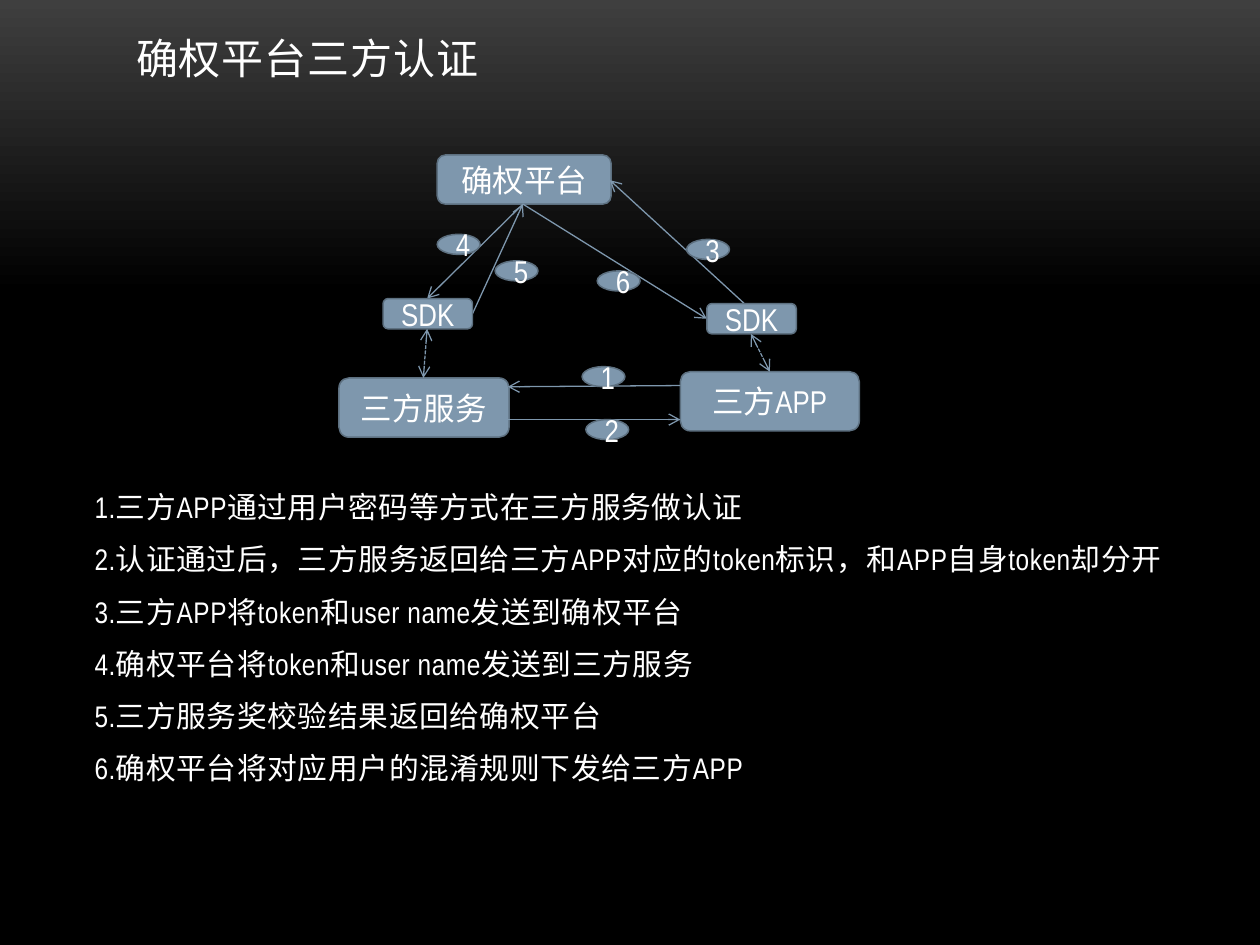
from dataclasses import dataclass

from lxml.etree import SubElement
from pptx import Presentation
from pptx.dml.color import RGBColor
from pptx.enum.dml import MSO_LINE
from pptx.enum.shapes import MSO_CONNECTOR, MSO_SHAPE
from pptx.enum.text import MSO_ANCHOR, MSO_AUTO_SIZE, PP_ALIGN
from pptx.oxml.ns import qn
from pptx.util import Inches, Pt

COLORS = {
    "gradient_top": "3F3F3F",
    "black": "000000",
    "node": "7E97AD",
    "outline": "5D7080",
    "text": "FFFFFF",
}
FONT = "Arial Narrow"
WIDTH, HEIGHT = Inches(10), Inches(7.5)
COLUMN, ROW = WIDTH / 100, HEIGHT / 75
BADGE_SIZE = (3.4, 1.6)

TITLE = "确权平台三方认证"
STEPS = [
    "1.三方APP通过用户密码等方式在三方服务做认证",
    "2.认证通过后，三方服务返回给三方APP对应的token标识，和APP自身token却分开",
    "3.三方APP将token和user name发送到确权平台",
    "4.确权平台将token和user name发送到三方服务",
    "5.三方服务奖校验结果返回给确权平台",
    "6.确权平台将对应用户的混淆规则下发给三方APP",
]


@dataclass(frozen=True)
class Node:
    text: str
    column: float
    row: float
    columns: float
    rows: float
    kind: MSO_SHAPE = MSO_SHAPE.ROUNDED_RECTANGLE


@dataclass(frozen=True)
class Arrow:
    start: tuple[float, float]
    end: tuple[float, float]
    two_way: bool = False


PARTIES = [
    Node("确权平台", 34.7, 12.3, 13.8, 3.9),
    Node("三方服务", 26.9, 30, 13.5, 4.7),
    Node("三方APP", 54, 29.5, 14.2, 4.7),
]
SDKS = [Node("SDK", column, row, 7.1, 2.4) for column, row in [(30.4, 23.7), (56.1, 24.1)]]
BADGES = [
    Node(str(number), column, row, *BADGE_SIZE, MSO_SHAPE.OVAL)
    for number, (column, row) in enumerate(
        [(46.2, 29.1), (46.5, 33.3), (54.5, 19), (34.7, 18.6), (39.3, 20.7), (47.4, 21.5)], 1
    )
]
PLATFORM_BOTTOM = (41.5, 16.2)
MESSAGES = [
    Arrow((54, 30.6), (40.3, 30.7)),
    Arrow((40.3, 33.3), (54, 33.3)),
    Arrow((59.3, 24.3), (48.4, 14.3)),
    Arrow(PLATFORM_BOTTOM, (33.9, 23.7)),
    Arrow((37.5, 24.9), PLATFORM_BOTTOM),
    Arrow(PLATFORM_BOTTOM, (56.1, 25.3)),
]
SDK_LINKS = [
    Arrow((59.6, 26.5), (61.1, 29.5), two_way=True),
    Arrow((33.9, 26.1), (33.6, 30), two_way=True),
]


def color(name: str) -> RGBColor:
    return RGBColor.from_string(COLORS[name])


def cells(*lengths: float) -> list[int]:
    """Turn alternating column and row counts into lengths."""
    return [round(length * (ROW if index % 2 else COLUMN)) for index, length in enumerate(lengths)]


def apply(target, formats: dict) -> None:
    for name, value in formats.items():
        setattr(target, name, value)


def write(paragraph, text: str, size: float, spacing: int = 0):
    run = paragraph.add_run()
    run.text = text
    apply(run.font, {"name": FONT, "size": Pt(size)})
    run.font.color.rgb = color("text")
    if spacing:
        run._r.get_or_add_rPr().set("spc", str(spacing))


def paint_background(slide) -> None:
    fill = slide.background.fill
    fill.gradient()
    fill.gradient_angle = 270
    for stop, (position, name) in zip(fill.gradient_stops, [(0, "gradient_top"), (0.31, "black")]):
        stop.position = position
        stop.color.rgb = color(name)


def place(placeholder, box: tuple, anchor: MSO_ANCHOR):
    apply(placeholder, dict(zip(("left", "top", "width", "height"), cells(*box))))
    frame = placeholder.text_frame
    apply(frame, {"vertical_anchor": anchor, "word_wrap": True, "auto_size": MSO_AUTO_SIZE.NONE})
    return frame


def fill_title(slide) -> None:
    frame = place(slide.shapes.title, (9.8, 0.2, 86.7, 6.9), MSO_ANCHOR.BOTTOM)
    frame.paragraphs[0].alignment = PP_ALIGN.LEFT
    write(frame.paragraphs[0], TITLE, 24, 50)


def fill_steps(slide) -> None:
    frame = place(slide.placeholders[1], (6.5, 38.3, 86.7, 27.4), MSO_ANCHOR.TOP)
    for index, step in enumerate(STEPS):
        paragraph = frame.add_paragraph() if index else frame.paragraphs[0]
        apply(paragraph, {"space_before": Pt(3.4), "space_after": Pt(6), "alignment": PP_ALIGN.LEFT})
        properties = paragraph._p.get_or_add_pPr()
        properties.set("marL", "0")
        properties.set("indent", "0")
        SubElement(properties, qn("a:buNone"))
        write(paragraph, step, 17, 30)


def draw_node(slide, node: Node) -> None:
    shape = slide.shapes.add_shape(node.kind, *cells(node.column, node.row, node.columns, node.rows))
    shape.shadow.inherit = False
    shape.fill.solid()
    shape.fill.fore_color.rgb = color("node")
    shape.line.color.rgb = color("outline")
    shape.line.width = Pt(0.85)
    frame = shape.text_frame
    apply(frame, {"vertical_anchor": MSO_ANCHOR.MIDDLE, "word_wrap": True})
    frame.paragraphs[0].alignment = PP_ALIGN.CENTER
    write(frame.paragraphs[0], node.text, 18)


def draw_arrow(slide, arrow: Arrow) -> None:
    connector = slide.shapes.add_connector(MSO_CONNECTOR.STRAIGHT, *cells(*arrow.start, *arrow.end))
    line = connector.line
    line.color.rgb = color("node")
    line.width = Pt(0.75)
    if arrow.two_way:
        line.dash_style = MSO_LINE.SQUARE_DOT
    for tag in ("a:headEnd", "a:tailEnd") if arrow.two_way else ("a:tailEnd",):
        SubElement(line._get_or_add_ln(), qn(tag), type="arrow")
    SubElement(connector._element.spPr, qn("a:effectLst"))


def main() -> None:
    presentation = Presentation()
    apply(presentation, {"slide_width": WIDTH, "slide_height": HEIGHT})
    slide = presentation.slides.add_slide(presentation.slide_layouts[1])
    paint_background(slide)
    fill_title(slide)
    fill_steps(slide)
    for party in PARTIES:
        draw_node(slide, party)
    for message in MESSAGES:
        draw_arrow(slide, message)
    for node in BADGES + SDKS:
        draw_node(slide, node)
    for link in SDK_LINKS:
        draw_arrow(slide, link)
    presentation.save("out.pptx")


if __name__ == "__main__":
    main()
